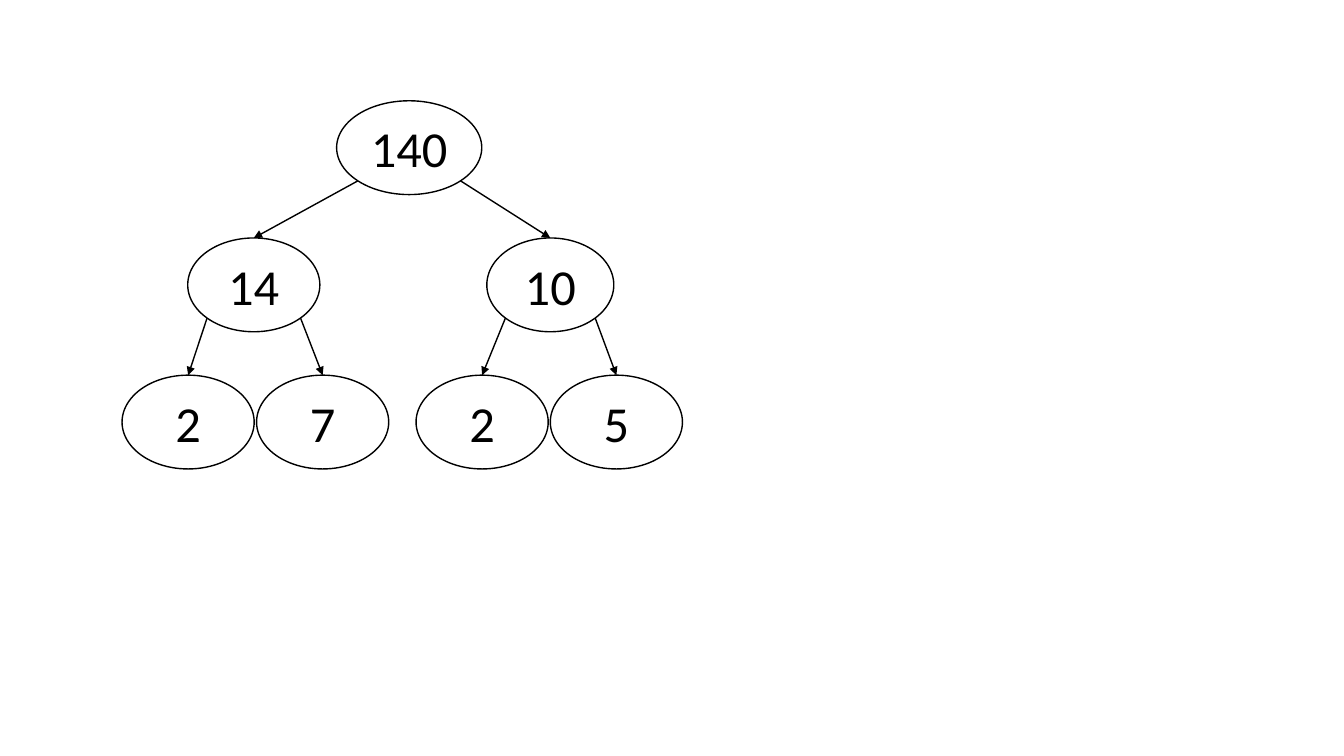
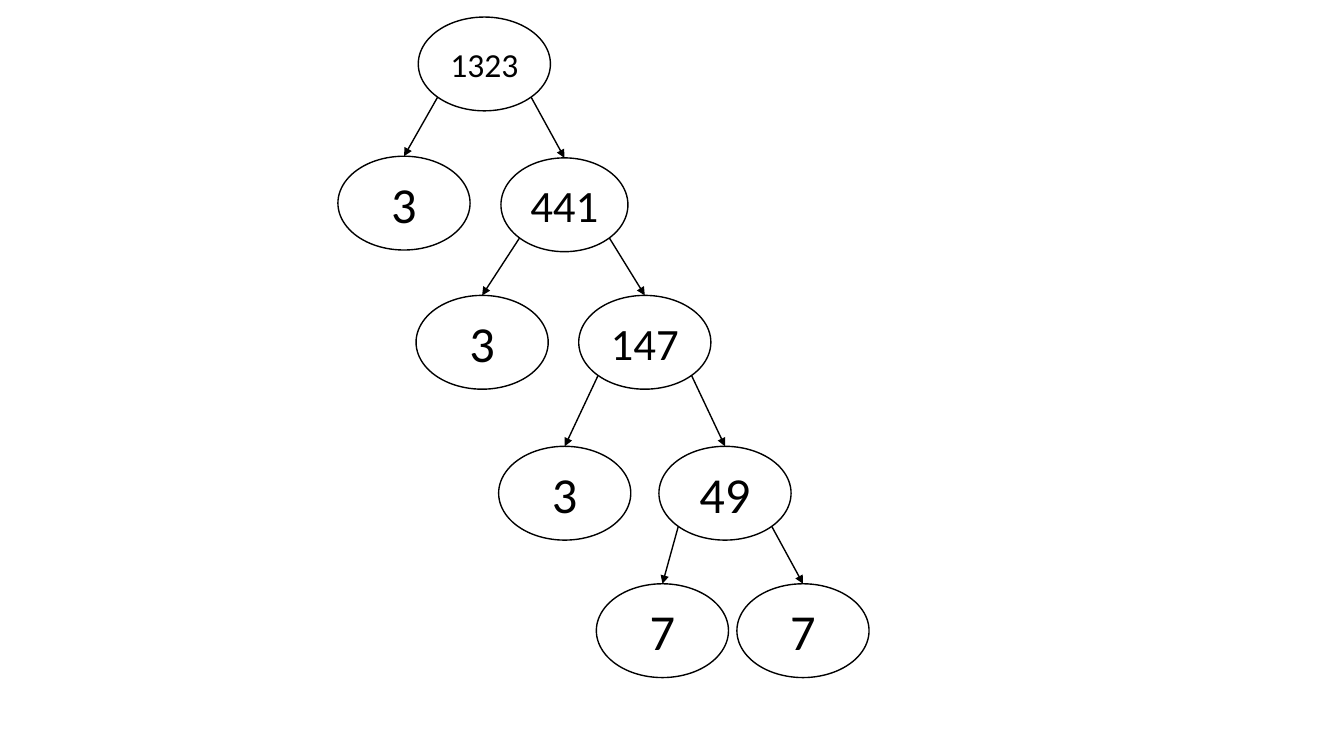
from dataclasses import dataclass
from math import sqrt

from lxml import etree
from pptx import Presentation
from pptx.dml.color import RGBColor
from pptx.enum.shapes import MSO_CONNECTOR, MSO_SHAPE
from pptx.enum.text import MSO_ANCHOR, PP_ALIGN
from pptx.oxml.ns import qn
from pptx.shapes.autoshape import Shape
from pptx.slide import Slide
from pptx.util import Pt

OVAL = MSO_SHAPE.OVAL
STRAIGHT = MSO_CONNECTOR.STRAIGHT
MIDDLE = MSO_ANCHOR.MIDDLE
CENTER = PP_ALIGN.CENTER

INK = "000000"
PAPER = "FFFFFF"
FONT = "Calibri"
OUTLINE = 1
NODE_WIDTH = 94.4
NODE_HEIGHT = 67
TOP_SITE = 0
LOWER_LEFT_SITE = 3
LOWER_RIGHT_SITE = 5


@dataclass(frozen=True)
class Factor:
    value: int
    center: float
    top: float
    size: int = 36
    width: float = NODE_WIDTH
    pair: "tuple[Factor, ...]" = ()


ROW_1, ROW_2, ROW_3 = (72 + 98 * row for row in range(3))

TREE_140 = Factor(140, 292.3, ROW_1, width=103.7, pair=(
    Factor(14, 181.3, ROW_2, pair=(
        Factor(2, 134.4, ROW_3),
        Factor(7, 230.5, ROW_3),
    )),
    Factor(10, 393.1, ROW_2, width=90.7, pair=(
        Factor(2, 344.4, ROW_3),
        Factor(5, 440.3, ROW_3),
    )),
))

TREE_1323 = Factor(1323, 346, 12.2, size=24, pair=(
    Factor(3, 288.6, 111.6),
    Factor(441, 403.2, 112.8, size=32, width=90.7, pair=(
        Factor(3, 344.4, 211),
        Factor(147, 460.6, 211, size=32, pair=(
            Factor(3, 403.4, 318.8),
            Factor(49, 517.9, 318.8, pair=(
                Factor(7, 473.2, 417),
                Factor(7, 573.6, 417),
            )),
        )),
    )),
))


def color(value: str) -> RGBColor:
    return RGBColor.from_string(value)


def draw_factor(slide: Slide, factor: Factor) -> Shape:
    oval = slide.shapes.add_shape(
        OVAL, Pt(factor.center - factor.width / 2), Pt(factor.top),
        Pt(factor.width), Pt(NODE_HEIGHT))
    oval.shadow.inherit = False
    oval.fill.solid()
    oval.fill.fore_color.rgb = color(PAPER)
    oval.line.color.rgb = color(INK)
    oval.line.width = Pt(OUTLINE)
    frame = oval.text_frame
    frame.word_wrap = True
    frame.vertical_anchor = MIDDLE
    paragraph = frame.paragraphs[0]
    paragraph.alignment = CENTER
    run = paragraph.add_run()
    run.text = str(factor.value)
    for attribute, setting in {"name": FONT, "size": Pt(factor.size)}.items():
        setattr(run.font, attribute, setting)
    run.font.color.rgb = color(INK)
    return oval


def draw_branch(slide: Slide, factor: Factor, oval: Shape,
                child: Factor, child_oval: Shape) -> None:
    goes_right = child.center > factor.center
    reach = factor.width / 2 * sqrt(0.5)
    start_x = factor.center + (reach if goes_right else -reach)
    start_y = factor.top + NODE_HEIGHT / 2 * (1 + sqrt(0.5))
    arrow = slide.shapes.add_connector(
        STRAIGHT, Pt(start_x), Pt(start_y), Pt(child.center), Pt(child.top))
    joints = arrow._element.find(".//" + qn("p:cNvCxnSpPr"))
    site = LOWER_RIGHT_SITE if goes_right else LOWER_LEFT_SITE
    etree.SubElement(joints, qn("a:stCxn"), id=str(oval.shape_id), idx=str(site))
    arrow.end_connect(child_oval, TOP_SITE)
    arrow.line.color.rgb = color(INK)
    arrow.line.width = Pt(OUTLINE)
    properties = arrow._element.spPr
    etree.SubElement(properties.find(qn("a:ln")), qn("a:tailEnd"), type="triangle")
    etree.SubElement(properties, qn("a:effectLst"))


def draw_tree(slide: Slide, factor: Factor) -> Shape:
    oval = draw_factor(slide, factor)
    for child in factor.pair:
        draw_branch(slide, factor, oval, child, draw_tree(slide, child))
    return oval


def main() -> None:
    deck = Presentation()
    deck.slide_width, deck.slide_height = Pt(960), Pt(540)
    blank = deck.slide_layouts[6]
    for tree in (TREE_140, TREE_1323):
        draw_tree(deck.slides.add_slide(blank), tree)
    deck.save("out.pptx")


if __name__ == "__main__":
    main()
